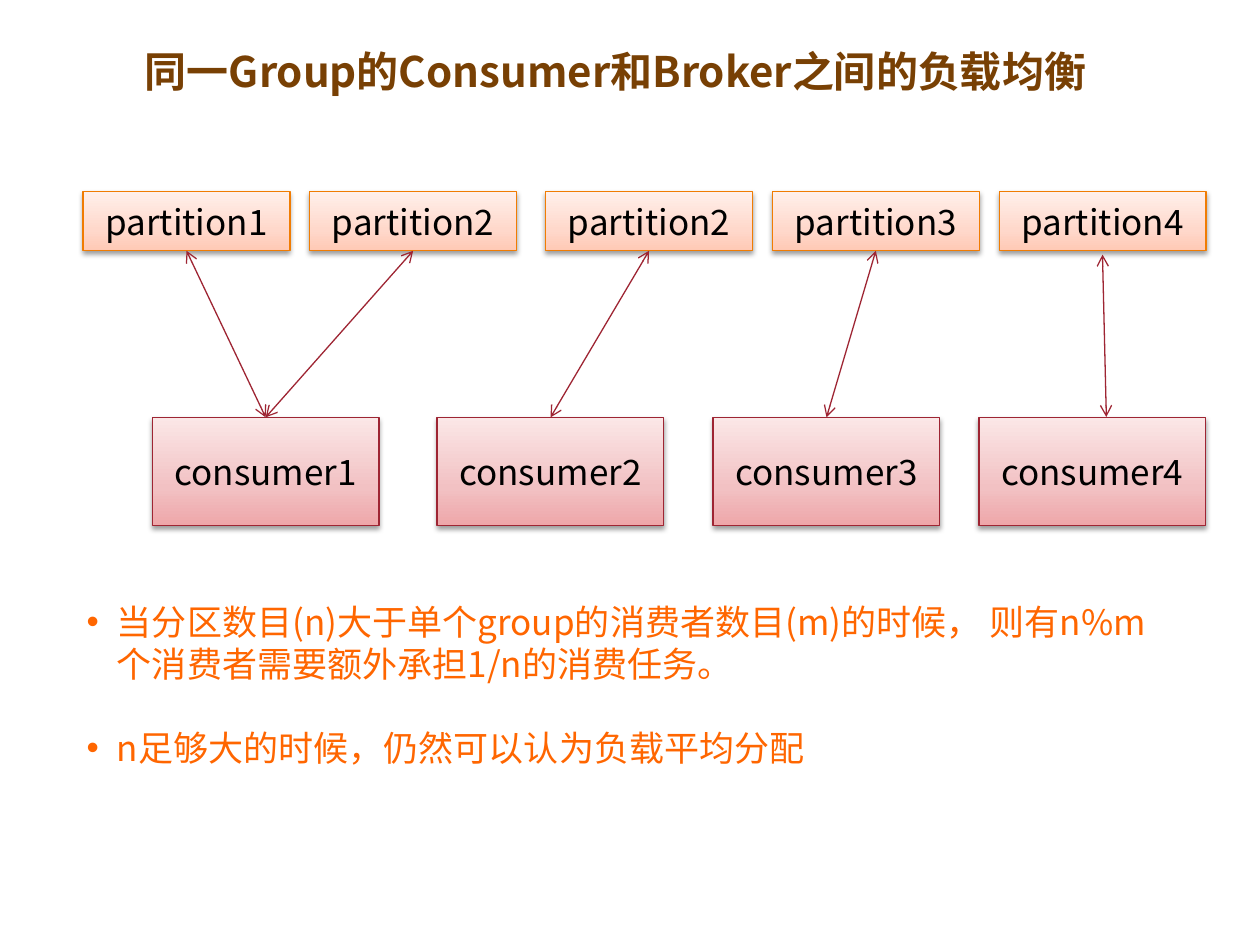
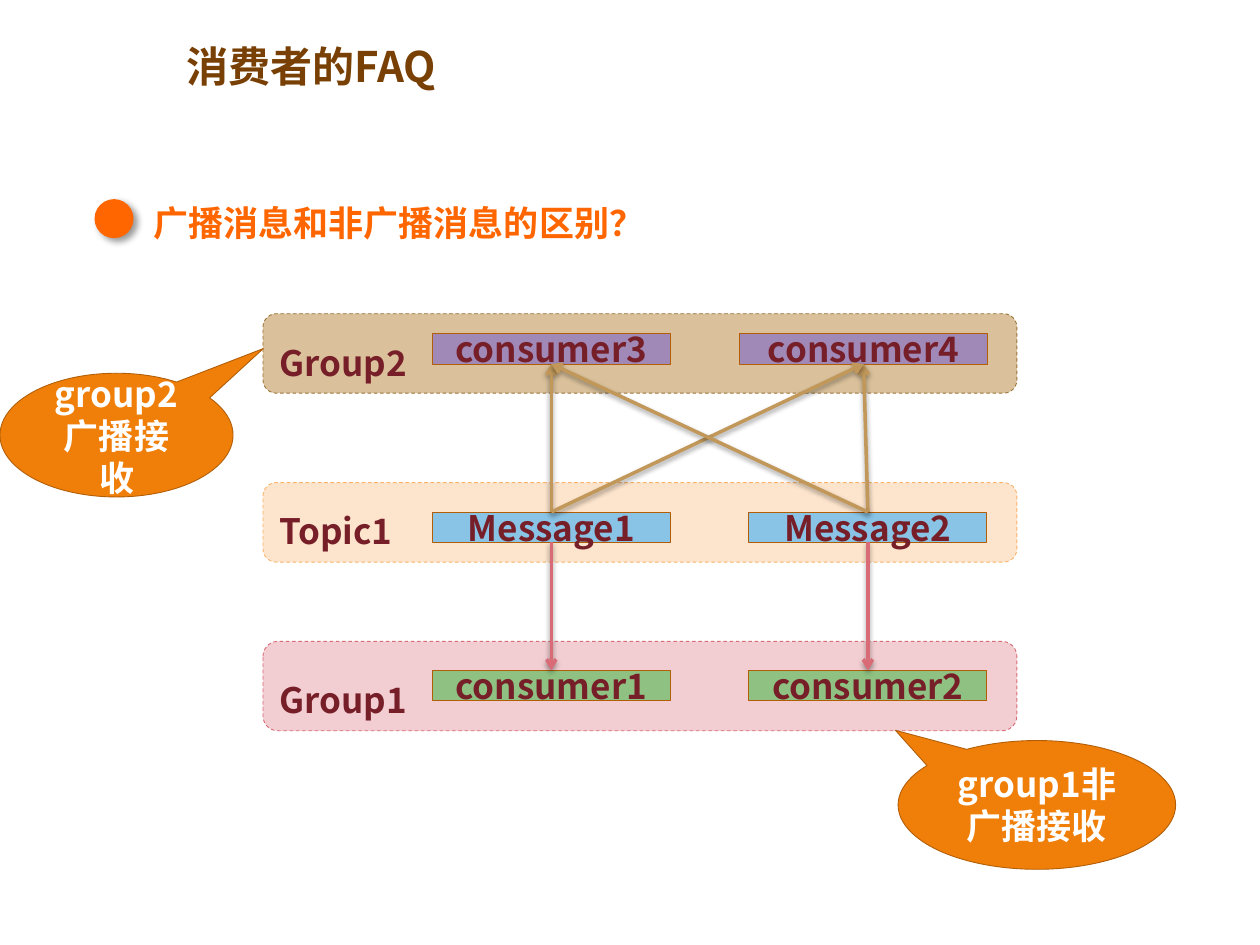
from dataclasses import dataclass

from lxml.etree import SubElement
from pptx import Presentation
from pptx.dml.color import RGBColor
from pptx.enum.dml import MSO_LINE_DASH_STYLE as Dash
from pptx.enum.shapes import MSO_CONNECTOR_TYPE as Link, MSO_SHAPE as Shape
from pptx.enum.text import MSO_ANCHOR as Anchor, MSO_AUTO_SIZE as AutoSize, PP_ALIGN as Align
from pptx.oxml import parse_xml
from pptx.oxml.ns import nsdecls, qn
from pptx.util import Pt


@dataclass(frozen=True)
class Theme:
    """Fonts, type sizes and colours that the slides share."""
    font: str = "Noto Sans CJK SC"
    title_size: float = 24
    text_size: float = 20
    title: str = "784004"
    accent: str = "FF6600"
    ink: str = "000000"
    label: str = "771F28"
    white: str = "FFFFFF"
    partition_fill: tuple = ("FFC9B5", "FFD8CB", "FFF0EB")
    partition_edge: str = "F07C03"
    consumer_fill: tuple = ("EEA6A9", "F2C1C3", "FBE7E7")
    consumer_edge: str = "9E2533"
    box_edge: str = "B25E07"
    callout: str = "F07F09"
    broadcast: str = "C19859"
    single: str = "D96B77"
    soft_shadow: tuple = (38, 3.1, 1.6, 90)
    dot_shadow: tuple = (40, 4, 3, 45)


THEME = Theme()
BOTTOM, TOP = 2, 0


def rgb(code):
    """Turn a hex code into a colour."""
    return RGBColor.from_string(code)


def style(paragraph, color, size=THEME.text_size, bold=False, align=Align.LEFT):
    """Set the type of a whole paragraph, for Latin and Chinese alike."""
    paragraph.alignment = align
    font = paragraph.font
    font.size, font.bold, font.name = Pt(size), bold, THEME.font
    font.color.rgb = rgb(color)
    defaults = paragraph._p.pPr.find(qn("a:defRPr"))
    SubElement(defaults, qn("a:ea"), typeface=THEME.font)


def cast_shadow(properties, shadow):
    """Give shape properties one outer shadow, or none at all."""
    effects = properties.find(qn("a:effectLst"))
    if effects is None:
        effects = SubElement(properties, qn("a:effectLst"))
    if shadow:
        alpha, blur, distance, angle = shadow
        effects.append(parse_xml(
            f'<a:outerShdw {nsdecls("a")} blurRad="{Pt(blur)}" dist="{Pt(distance)}" '
            f'dir="{angle * 60000}" algn="ctr" rotWithShape="0"><a:srgbClr val="{THEME.ink}">'
            f'<a:alpha val="{alpha * 1000}"/></a:srgbClr></a:outerShdw>'))


def fill_gradient(shape, colors):
    """Fill a shape upwards through three colours."""
    shape.fill.gradient()
    shape.fill.gradient_angle = 90
    stops = shape._element.spPr.find(qn("a:gradFill")).find(qn("a:gsLst"))
    for stop in list(stops):
        stops.remove(stop)
    for position, color in zip((0, 35, 100), colors):
        stop = SubElement(stops, qn("a:gs"), pos=str(position * 1000))
        SubElement(stop, qn("a:srgbClr"), val=color)


def add_figure(slide, kind, frame, fill, edge=None, weight=0.5, shadow=None):
    """Draw a preset shape with a plain or gradient fill."""
    shape = slide.shapes.add_shape(kind, *map(Pt, frame))
    shape.shadow.inherit = False
    if isinstance(fill, tuple):
        fill_gradient(shape, fill)
    else:
        shape.fill.solid()
        shape.fill.fore_color.rgb = rgb(fill)
    if edge:
        shape.line.width = Pt(weight)
        shape.line.color.rgb = rgb(edge)
    else:
        shape.line.fill.background()
    cast_shadow(shape._element.spPr, shadow)
    return shape


def write(shape, text, color, bold=True, align=Align.CENTER, anchor=Anchor.MIDDLE):
    """Write one paragraph inside a shape."""
    frame = shape.text_frame
    frame.word_wrap = True
    frame.vertical_anchor = anchor
    frame.text = text
    style(frame.paragraphs[0], color, bold=bold, align=align)


def add_node(slide, text, frame, fill, edge):
    """Draw a shaded node of the balancing diagram."""
    node = add_figure(slide, Shape.RECTANGLE, frame, fill, edge, 0.75, THEME.soft_shadow)
    write(node, text, THEME.ink, bold=False)
    return node


def add_box(slide, text, frame, fill):
    """Draw a small flat box that lies on a band."""
    box = add_figure(slide, Shape.RECTANGLE, frame, fill, THEME.box_edge)
    write(box, text, THEME.label)
    return box


def add_band(slide, text, top, height, fill, edge):
    """Draw a dashed band with its label at the bottom left."""
    band = add_figure(slide, Shape.FLOWCHART_ALTERNATE_PROCESS, (150.3, top, 430.8, height), fill, edge)
    band.line.dash_style = Dash.DASH
    write(band, text, THEME.label, align=Align.LEFT, anchor=Anchor.BOTTOM)


def add_callout(slide, text, frame, tip):
    """Draw an oval callout whose tip is given relative to its centre."""
    callout = add_figure(slide, Shape.OVAL_CALLOUT, frame, THEME.callout, THEME.box_edge)
    callout.adjustments[0], callout.adjustments[1] = tip
    write(callout, text, THEME.white)


def add_arrow(slide, color, weight, ends=("tailEnd",), points=(0, 0, 0, 0), shadow=None):
    """Draw a straight arrow."""
    arrow = slide.shapes.add_connector(Link.STRAIGHT, *map(Pt, points))
    arrow.line.width = Pt(weight)
    arrow.line.color.rgb = rgb(color)
    for end in ends:
        SubElement(arrow.line._ln, qn(f"a:{end}"), type="arrow")
    cast_shadow(arrow._element.spPr, shadow)
    return arrow


def join(arrow, start, start_side, finish, finish_side):
    """Join an arrow to the sides of two shapes."""
    arrow.begin_connect(start, start_side)
    arrow.end_connect(finish, finish_side)


def add_titled_slide(deck, text, left, height):
    """Add a title-only slide and place its title."""
    slide = deck.slides.add_slide(deck.slide_layouts[5])
    title = slide.shapes.title
    title.left, title.top, title.width, title.height = map(Pt, (left, 20.9, 573, height))
    frame = title.text_frame
    frame.text = text
    frame.auto_size = AutoSize.NONE
    frame.vertical_anchor = Anchor.MIDDLE
    style(frame.paragraphs[0], THEME.title, THEME.title_size, bold=True)
    return slide


def add_text(slide, lines, frame, bold=False, bulleted=False):
    """Add a text box, one paragraph for each line."""
    text_frame = slide.shapes.add_textbox(*map(Pt, frame)).text_frame
    text_frame.word_wrap = True
    for number, line in enumerate(lines):
        paragraph = text_frame.add_paragraph() if number else text_frame.paragraphs[0]
        paragraph.text = line
        if number:
            paragraph.space_before = Pt(24)
        if bulleted:
            properties = paragraph._p.get_or_add_pPr()
            properties.set("marL", str(Pt(17.3)))
            properties.set("indent", str(Pt(-17.3)))
            SubElement(properties, qn("a:buFont"), typeface="Arial")
            SubElement(properties, qn("a:buChar"), char="•")
        style(paragraph, THEME.accent, bold=bold)


def build_balancing(deck):
    """Show how partitions are shared among the consumers of a group."""
    slide = add_titled_slide(deck, "同一Group的Consumer和Broker之间的负载均衡", 75.6, 38.9)
    partition_places = ((1, 47.5), (2, 177), (2, 311.8), (3, 441.4), (4, 571))
    partitions = [
        add_node(slide, f"partition{number}", (left, 109.4, 118.2, 33.9),
                 THEME.partition_fill, THEME.partition_edge)
        for number, left in partition_places]
    consumers = [
        add_node(slide, f"consumer{number}", (left, 238.5, 129.6, 61.9),
                 THEME.consumer_fill, THEME.consumer_edge)
        for number, left in enumerate((87, 249.8, 407.5, 559.4), 1)]

    both_ends = ("headEnd", "tailEnd")
    for partition, consumer in zip(partitions[:4], (0, 0, 1, 2)):
        arrow = add_arrow(slide, THEME.consumer_edge, 0.75, both_ends)
        join(arrow, partition, BOTTOM, consumers[consumer], TOP)
    add_arrow(slide, THEME.consumer_edge, 0.75, both_ends, (630, 145.5, 632.2, 238.3))

    add_text(slide, (
        "当分区数目(n)大于单个group的消费者数目(m)的时候， 则有n%m个消费者需要额外承担1/n的消费任务。",
        "n足够大的时候，仍然可以认为负载平均分配",
    ), (42.5, 339.8, 624.2, 104.4), bulleted=True)


def build_faq(deck):
    """Compare broadcast and single delivery of messages."""
    slide = add_titled_slide(deck, "消费者的FAQ", 99.4, 33.1)
    add_text(slide, ("广播消息和非广播消息的区别？",), (80.6, 111.6, 630, 39.6), bold=True)
    add_figure(slide, Shape.FLOWCHART_CONNECTOR, (54, 113.8, 22.3, 22.3), THEME.accent,
               shadow=THEME.dot_shadow)

    left_box, right_box, wide_box = (247, 136.1), (427.9, 136.1), (422.6, 141.8)
    rows = (
        ("Group2", 179.3, 45.4, "DAC19B", "9A743A", 190.8, "A088B7",
         (("consumer3", left_box), ("consumer4", wide_box))),
        ("Topic1", 275.8, 45.4, "FDE5CD", "F9B268", 292.6, "89C3E5",
         (("Message1", left_box), ("Message2", right_box))),
        ("Group1", 366.5, 51.1, "F2CED2", "D96B77", 383, "8EC182",
         (("consumer1", left_box), ("consumer2", right_box))),
    )
    boxes = {}
    for label, top, height, fill, edge, box_top, box_fill, members in rows:
        add_band(slide, label, top, height, fill, edge)
        for name, (left, width) in members:
            boxes[name] = add_box(slide, name, (left, box_top, width, 17.2), box_fill)

    deliveries = (
        ("Message1", "consumer1"), ("Message2", "consumer2"),
        ("Message1", "consumer3"), ("Message2", "consumer4"),
        ("Message1", "consumer4"), ("Message2", "consumer3"),
    )
    for message, consumer in deliveries:
        upward = boxes[consumer].top < boxes[message].top
        color = THEME.broadcast if upward else THEME.single
        sides = (TOP, BOTTOM) if upward else (BOTTOM, TOP)
        arrow = add_arrow(slide, color, 2, shadow=THEME.soft_shadow)
        join(arrow, boxes[message], sides[0], boxes[consumer], sides[1])

    add_callout(slide, "group1非广播接收", (513.2, 423.2, 158.6, 73.6), (-0.51, -0.58))
    add_callout(slide, "group2广播接收", (0, 213.3, 133.2, 70.7), (0.63, -0.7))


def main():
    """Build both slides and save the deck."""
    deck = Presentation()
    deck.slide_width, deck.slide_height = Pt(720), Pt(540)
    build_balancing(deck)
    build_faq(deck)
    deck.save("out.pptx")


if __name__ == "__main__":
    main()
